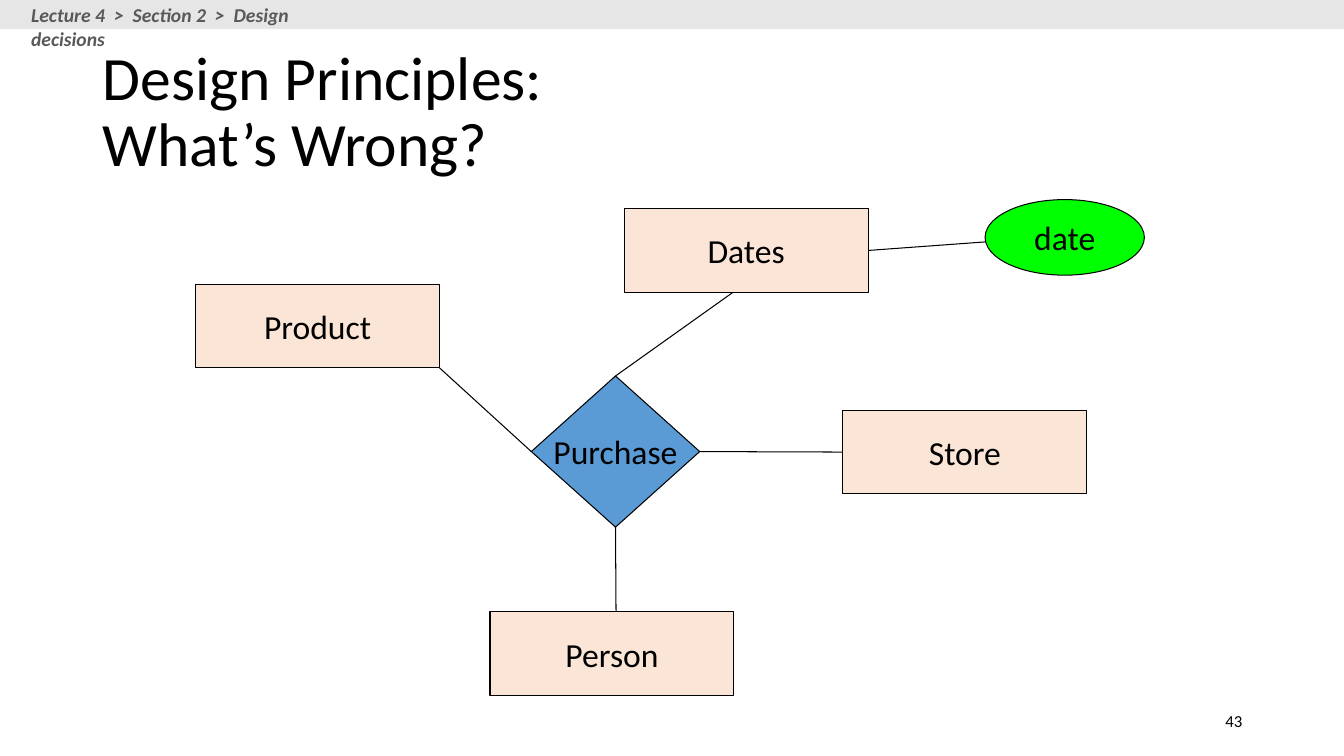
from pptx import Presentation
from pptx.dml.color import RGBColor
from pptx.enum.shapes import MSO_CONNECTOR, MSO_SHAPE
from pptx.enum.text import MSO_ANCHOR, MSO_AUTO_SIZE, PP_ALIGN
from pptx.oxml.ns import qn
from pptx.util import Inches, Pt
from lxml import etree

BLACK = RGBColor(0x00, 0x00, 0x00)
GREY_TEXT = RGBColor(0x59, 0x59, 0x59)
BAND_GREY = RGBColor(0xE7, 0xE6, 0xE6)
ENTITY_PEACH = RGBColor(0xFB, 0xE5, 0xD6)
RELATION_BLUE = RGBColor(0x5B, 0x9B, 0xD5)
ATTRIBUTE_GREEN = RGBColor(0x00, 0xFF, 0x00)

FONT = "Calibri"
ENTITY_WIDTH, ENTITY_HEIGHT = 2.42, 0.83
TOP, LEFT, BOTTOM, RIGHT = range(4)


def style_text(shape, size, color=BLACK, align=PP_ALIGN.LEFT, bold=False, italic=False):
    for paragraph in shape.text_frame.paragraphs:
        paragraph.alignment = align
        for run in paragraph.runs:
            font = run.font
            font.name, font.size = FONT, Pt(size)
            font.bold, font.italic = bold, italic
            font.color.rgb = color


def add_header(slide, left, top, width, height):
    group = slide.shapes.add_group_shape()
    band = group.shapes.add_shape(MSO_SHAPE.RECTANGLE, Inches(left), Inches(top),
                                  Inches(width), Inches(height))
    band.shadow.inherit = False
    band.fill.solid()
    band.fill.fore_color.rgb = BAND_GREY
    band.line.fill.background()
    breadcrumb = group.shapes.add_textbox(Inches(left + 0.21), Inches(top - 0.02),
                                          Inches(3.48), Inches(0.34))
    breadcrumb.text_frame.word_wrap = True
    breadcrumb.text_frame.text = "Lecture 4  >  Section 2  >  Design decisions"
    style_text(breadcrumb, 14, GREY_TEXT, bold=True, italic=True)


def add_title(slide, left, top, width, height):
    title = slide.shapes.title
    title.left, title.top = Inches(left), Inches(top)
    title.width, title.height = Inches(width), Inches(height)
    frame = title.text_frame
    frame.text = "Design Principles:\vWhat’s Wrong?"
    frame.auto_size = MSO_AUTO_SIZE.NONE
    frame.vertical_anchor = MSO_ANCHOR.MIDDLE
    frame.paragraphs[0].line_spacing = 0.9
    style_text(title, 44)


def add_node(slide, kind, label, fill, left, top, width, height):
    node = slide.shapes.add_shape(kind, Inches(left), Inches(top),
                                  Inches(width), Inches(height))
    node.shadow.inherit = False
    node.fill.solid()
    node.fill.fore_color.rgb = fill
    node.line.color.rgb = BLACK
    node.line.width = Pt(0.75)
    node.text_frame.word_wrap = False
    node.text_frame.vertical_anchor = MSO_ANCHOR.MIDDLE
    node.text_frame.text = label
    style_text(node, 24, align=PP_ALIGN.CENTER)
    return node


def add_link(slide, start, end, start_joint=None, end_joint=None):
    """Draw a line between two points; a joint is a (node, side) pair."""
    link = slide.shapes.add_connector(MSO_CONNECTOR.STRAIGHT,
                                      *(Inches(value) for value in (*start, *end)))
    link.line.color.rgb = BLACK
    link.line.width = Pt(0.75)
    etree.SubElement(link._element.spPr, qn("a:effectLst"))
    if start_joint:
        link.begin_connect(*start_joint)
    if end_joint:
        link.end_connect(*end_joint)


def add_diagram(slide, left, top):
    """Draw the entity-relationship diagram from its top left corner."""
    def at(x, y):
        return left + x, top + y

    entities = {
        label: add_node(slide, MSO_SHAPE.RECTANGLE, label, ENTITY_PEACH,
                        *at(x, y), ENTITY_WIDTH, ENTITY_HEIGHT)
        for label, x, y in (("Product", 0, 0.84), ("Person", 2.92, 4.09),
                            ("Store", 6.42, 2.09), ("Dates", 4.25, 0.09))
    }
    purchase = add_node(slide, MSO_SHAPE.DIAMOND, "Purchase", RELATION_BLUE,
                        *at(3.33, 1.75), 1.67, 1.5)
    add_node(slide, MSO_SHAPE.OVAL, "date", ATTRIBUTE_GREEN, *at(7.83, 0), 1.58, 0.75)

    add_link(slide, at(5, 2.5), at(6.42, 2.5),
             (purchase, RIGHT), (entities["Store"], LEFT))
    add_link(slide, at(4.17, 3.25), at(4.17, 4.09), (purchase, BOTTOM))
    add_link(slide, at(4.17, 1.75), at(5.33, 0.92), (purchase, TOP))
    add_link(slide, at(2.42, 1.67), at(3.33, 2.5), end_joint=(purchase, LEFT))
    add_link(slide, at(6.67, 0.5), at(7.83, 0.42), (entities["Dates"], RIGHT))


def add_slide_number(slide, left, top, width, height):
    number = slide.shapes.add_textbox(Inches(left), Inches(top),
                                      Inches(width), Inches(height))
    number.text_frame.word_wrap = True
    number.text_frame.vertical_anchor = MSO_ANCHOR.MIDDLE
    number.text_frame.text = "43"
    style_text(number, 12, align=PP_ALIGN.RIGHT)


def main():
    presentation = Presentation()
    presentation.slide_width, presentation.slide_height = Inches(13.33), Inches(7.5)
    slide = presentation.slides.add_slide(presentation.slide_layouts[5])
    add_slide_number(slide, 9.42, 6.95, 3, 0.4)
    add_title(slide, 0.92, 0.4, 11.5, 1.45)
    add_diagram(slide, 1.94, 1.98)
    add_header(slide, 0, 0, 13.33, 0.29)
    presentation.save("out.pptx")


if __name__ == "__main__":
    main()
